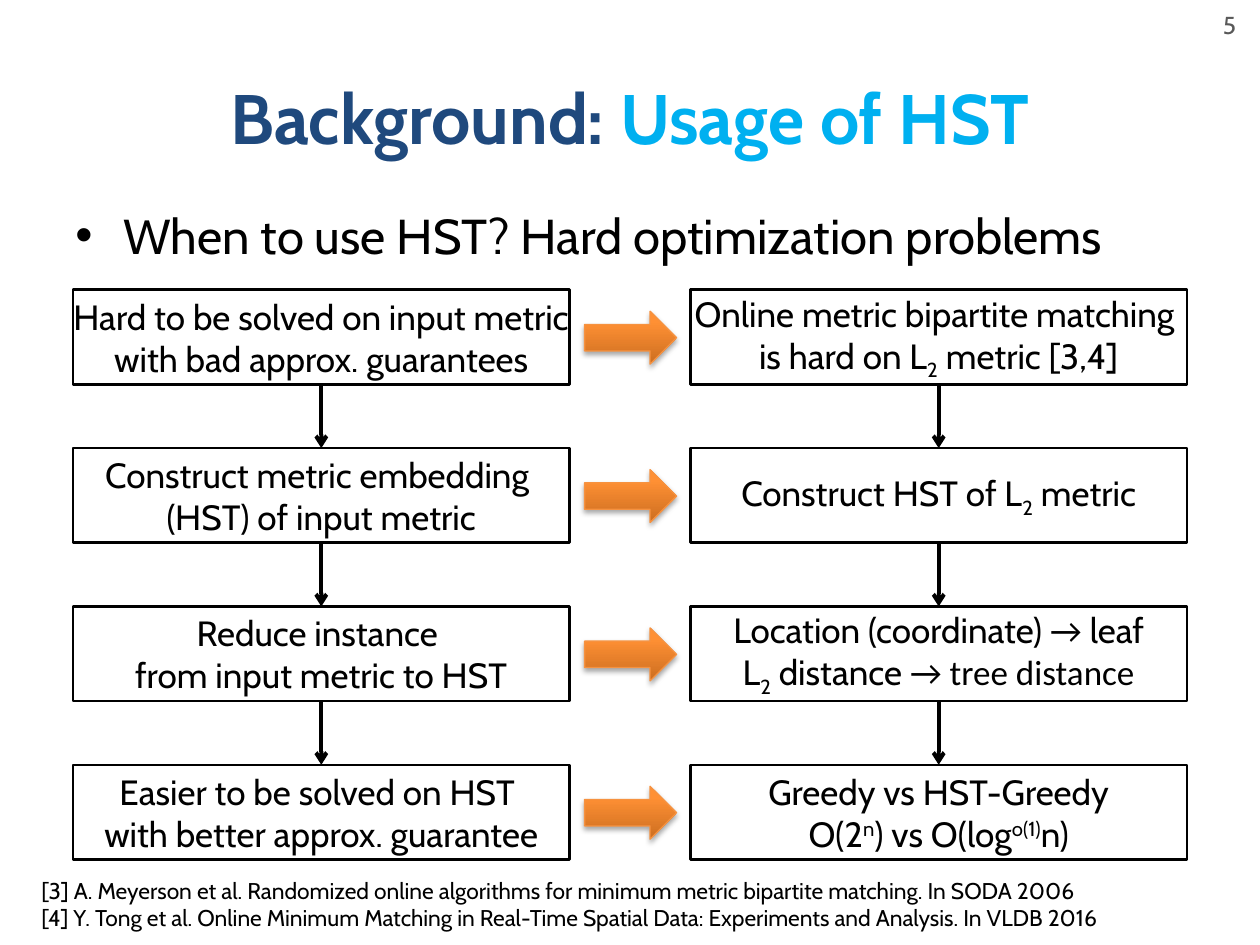
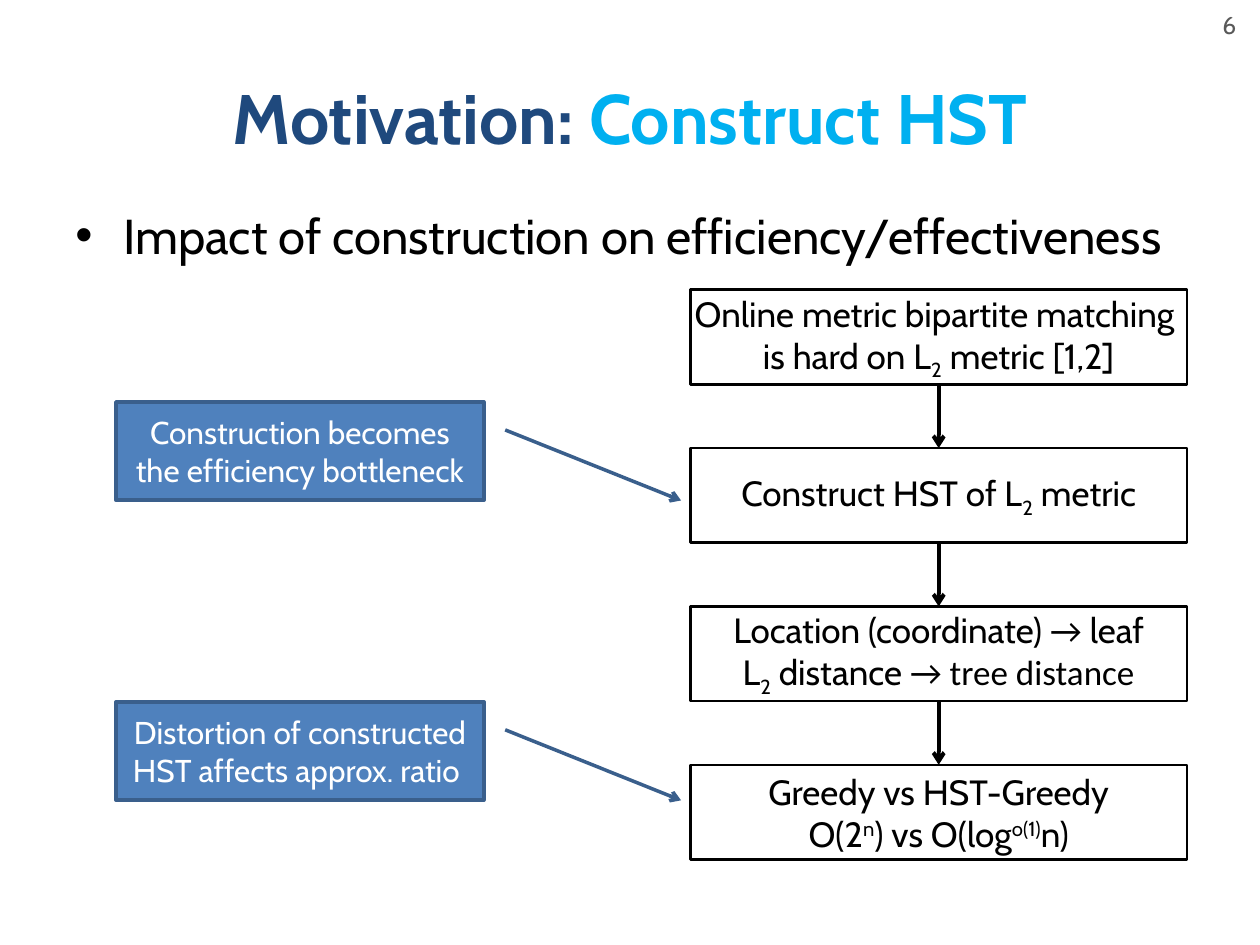
"""Build two slides on the usage and construction of HST."""
import pptx
import pptx.dml.color
import pptx.enum.shapes
import pptx.enum.text
import pptx.oxml
import pptx.oxml.ns
import pptx.util

Inches = pptx.util.Inches
Pt = pptx.util.Pt
RGBColor = pptx.dml.color.RGBColor
Shape = pptx.enum.shapes.MSO_SHAPE
Align = pptx.enum.text.PP_ALIGN
Anchor = pptx.enum.text.MSO_ANCHOR
qn = pptx.oxml.ns.qn

BLACK = RGBColor(0x00, 0x00, 0x00)
WHITE = RGBColor(0xFF, 0xFF, 0xFF)
GRAY = RGBColor(0x59, 0x59, 0x59)
NAVY = RGBColor(0x1F, 0x49, 0x7D)
SKY = RGBColor(0x00, 0xB0, 0xF0)
BLUE = RGBColor(0x4F, 0x81, 0xBD)
DARK_BLUE = RGBColor(0x3A, 0x5F, 0x8C)
ORANGE = RGBColor(0xF6, 0x92, 0x40)
ARROW_STOPS = ((0, RGBColor(0xCC, 0x6E, 0x20)), (80, RGBColor(0xFF, 0x90, 0x34)),
               (100, RGBColor(0xFF, 0x91, 0x36)))

FONT = "Cabin"
SUBSCRIPT = {"baseline": -25}
SUPERSCRIPT = {"baseline": 30}
CALIBRI = {"font": "Calibri"}

LEFT_COLUMN, RIGHT_COLUMN = 0.58, 5.48
BOX_WIDTH, BOX_HEIGHT = 3.94, 0.75
FIRST_ROW, LAST_ROW = 2.3, 6.07
ROW_TOPS = [FIRST_ROW + row * (LAST_ROW - FIRST_ROW) / 3 for row in range(4)]

GENERAL_STEPS = [
    [["Hard to be solved on input metric"], ["with bad approx. guarantees"]],
    [["Construct metric embedding "], ["(HST) of input metric"]],
    [["Reduce instance "], ["from input metric to HST"]],
    [["Easier to be solved on HST "], ["with better approx. guarantee"]],
]
REFERENCES = [
    ["[3] A. Meyerson et al. Randomized online algorithms for minimum metric "
     "bipartite matching. In SODA 2006"],
    ["[4] Y. Tong et al. Online Minimum Matching in Real-Time Spatial Data: "
     "Experiments and Analysis. In VLDB 2016"],
]


def matching_steps(citation):
    """Return the steps of online matching, citing the given references."""
    return [
        [["Online metric bipartite matching "],
         ["is hard on L", ("2", SUBSCRIPT), f" metric {citation}"]],
        [["Construct HST of L", ("2", SUBSCRIPT), " metric"]],
        [["Location (coordinate) ", ("→ ", CALIBRI), "leaf"],
         ["L", ("2", SUBSCRIPT), " distance ", ("→ tree distance", CALIBRI)]],
        [["Greedy vs HST-Greedy"],
         ["O(2", ("n", SUPERSCRIPT), ") vs O(log", ("o(1)", SUPERSCRIPT), "n)"]],
    ]


def add_run(paragraph, text, size=20, color=BLACK, font=FONT, bold=False, baseline=0):
    """Append formatted text to a paragraph."""
    run = paragraph.add_run()
    run.text = text
    run.font.size = Pt(size)
    run.font.name = font
    run.font.bold = bold
    run.font.color.rgb = color
    if baseline:
        run._r.get_or_add_rPr().set("baseline", str(baseline * 1000))


def add_drawing_element(parent, tag, content="", attributes=""):
    """Append a DrawingML element and return it."""
    xml = f'<a:{tag} {pptx.oxml.ns.nsdecls("a")} {attributes}>{content}</a:{tag}>'
    element = pptx.oxml.parse_xml(xml)
    parent.append(element)
    return element


def add_arrowhead(shape):
    """Put an open arrowhead at the end of a shape's line."""
    line = shape._element.spPr.find(qn("a:ln"))
    add_drawing_element(line, "tailEnd", attributes='type="arrow"')


class Deck:
    """Hold the presentation, its style and the current slide."""

    def __init__(self):
        self.presentation = pptx.Presentation()
        self.presentation.slide_width = Inches(10)
        self.presentation.slide_height = Inches(7.5)
        self.slide = None

    def add_slide(self, number, topic, title, question):
        """Start a slide with its number, title and bullet."""
        self.slide = self.presentation.slides.add_slide(self.presentation.slide_layouts[6])
        self.text_box(7.58, 0, 2.33, 0.4, [[number]], anchor=Anchor.MIDDLE,
                      align=Align.RIGHT, size=14, color=GRAY)
        self.text_box(0.5, 0.3, 9, 1.25, [[topic, (title, {"color": SKY})]],
                      anchor=Anchor.MIDDLE, align=Align.CENTER, size=40, color=NAVY, bold=True)
        self.bullet(question)

    def fill_text(self, shape, lines, anchor=Anchor.TOP, align=Align.LEFT, wrap=True, **style):
        """Write lines of plain or specially formatted pieces into a shape."""
        frame = shape.text_frame
        frame.word_wrap = wrap
        frame.vertical_anchor = anchor
        for index, pieces in enumerate(lines):
            paragraph = frame.add_paragraph() if index else frame.paragraphs[0]
            paragraph.alignment = align
            for piece in pieces:
                text, changes = (piece, {}) if isinstance(piece, str) else piece
                add_run(paragraph, text, **{**style, **changes})

    def text_box(self, left, top, width, height, lines, **style):
        """Add a text box."""
        box = self.slide.shapes.add_textbox(
            Inches(left), Inches(top), Inches(width), Inches(height))
        self.fill_text(box, lines, **style)
        return box

    def bullet(self, text):
        """Add the bulleted statement under the title."""
        box = self.text_box(0.5, 1.58, 9, 0.6, [[text]], size=28)
        paragraph = box.text_frame.paragraphs[0]
        paragraph.space_before = Pt(5.6)
        properties = paragraph._p.get_or_add_pPr()
        properties.set("marL", str(Inches(0.38)))
        properties.set("indent", str(Inches(-0.38)))
        add_drawing_element(properties, "buFont", attributes='typeface="Arial"')
        add_drawing_element(properties, "buChar", attributes='char="•"')

    def shape(self, kind, left, top, width, height, line_color, line_width, fill=None):
        """Add a preset shape without a shadow."""
        shape = self.slide.shapes.add_shape(
            kind, Inches(left), Inches(top), Inches(width), Inches(height))
        shape.shadow.inherit = False
        shape.line.color.rgb = line_color
        shape.line.width = Pt(line_width)
        if fill is None:
            shape.fill.background()
        else:
            shape.fill.solid()
            shape.fill.fore_color.rgb = fill
        return shape

    def step_box(self, left, top, lines):
        """Add an outlined box for one step."""
        box = self.shape(Shape.RECTANGLE, left, top, BOX_WIDTH, BOX_HEIGHT, BLACK, 1.5)
        box.text_frame.margin_left = box.text_frame.margin_right = 0
        self.fill_text(box, lines, anchor=Anchor.MIDDLE, align=Align.CENTER, wrap=False)
        return box

    def connect(self, upper, lower):
        """Join two stacked boxes with an arrow."""
        connector = self.slide.shapes.add_connector(
            pptx.enum.shapes.MSO_CONNECTOR.STRAIGHT, 0, 0, 0, 0)
        connector.begin_connect(upper, 2)
        connector.end_connect(lower, 0)
        connector.line.color.rgb = BLACK
        connector.line.width = Pt(2.25)
        add_arrowhead(connector)
        add_drawing_element(connector._element.spPr, "effectLst")

    def flow(self, left, steps):
        """Add a column of steps joined by arrows."""
        boxes = [self.step_box(left, top, lines) for top, lines in zip(ROW_TOPS, steps)]
        for upper, lower in zip(boxes, boxes[1:]):
            self.connect(upper, lower)

    def block_arrow(self, top):
        """Add a shaded orange arrow between the columns."""
        arrow = self.shape(Shape.RIGHT_ARROW, 4.64, top, 0.73, 0.42, ORANGE, 0.75)
        properties = arrow._element.spPr
        stops = "".join(f'<a:gs pos="{position * 1000}"><a:srgbClr val="{color}"/></a:gs>'
                        for position, color in ARROW_STOPS)
        gradient = add_drawing_element(
            properties, "gradFill", f'<a:gsLst>{stops}</a:gsLst><a:lin ang="16200000" scaled="0"/>')
        properties.replace(properties.find(qn("a:noFill")), gradient)
        add_drawing_element(
            properties.find(qn("a:effectLst")), "outerShdw",
            '<a:srgbClr val="000000"><a:alpha val="35000"/></a:srgbClr>',
            f'blurRad="{Pt(3.1)}" dist="{Pt(1.8)}" dir="5400000" rotWithShape="0"')

    def callout(self, top, text):
        """Add a blue callout pointing at a step."""
        callout = self.shape(Shape.LINE_CALLOUT_1, 0.92, top, 2.92, 0.78, DARK_BLUE, 2, BLUE)
        for index, value in enumerate((0.285, 1.058, 1.003, 1.536)):
            callout.adjustments[index] = value
        add_arrowhead(callout)
        self.fill_text(callout, [[text]], anchor=Anchor.MIDDLE, align=Align.CENTER,
                       size=18, color=WHITE)


def main():
    """Build and save both slides."""
    deck = Deck()

    deck.add_slide("5", "Background: ", "Usage of HST",
                   "When to use HST? Hard optimization problems")
    deck.flow(LEFT_COLUMN, GENERAL_STEPS)
    deck.flow(RIGHT_COLUMN, matching_steps("[3,4]"))
    for top in ROW_TOPS:
        deck.block_arrow(top + 0.17)
    deck.text_box(0.23, 6.91, 9.54, 0.54, REFERENCES, size=13)

    deck.add_slide("6", "Motivation: ", "Construct HST",
                   "Impact of construction on efficiency/effectiveness")
    deck.flow(RIGHT_COLUMN, matching_steps("[1,2]"))
    deck.callout(3.19, "Construction becomes the efficiency bottleneck")
    deck.callout(5.57, "Distortion of constructed HST affects approx. ratio ")

    deck.presentation.save("out.pptx")


if __name__ == "__main__":
    main()
